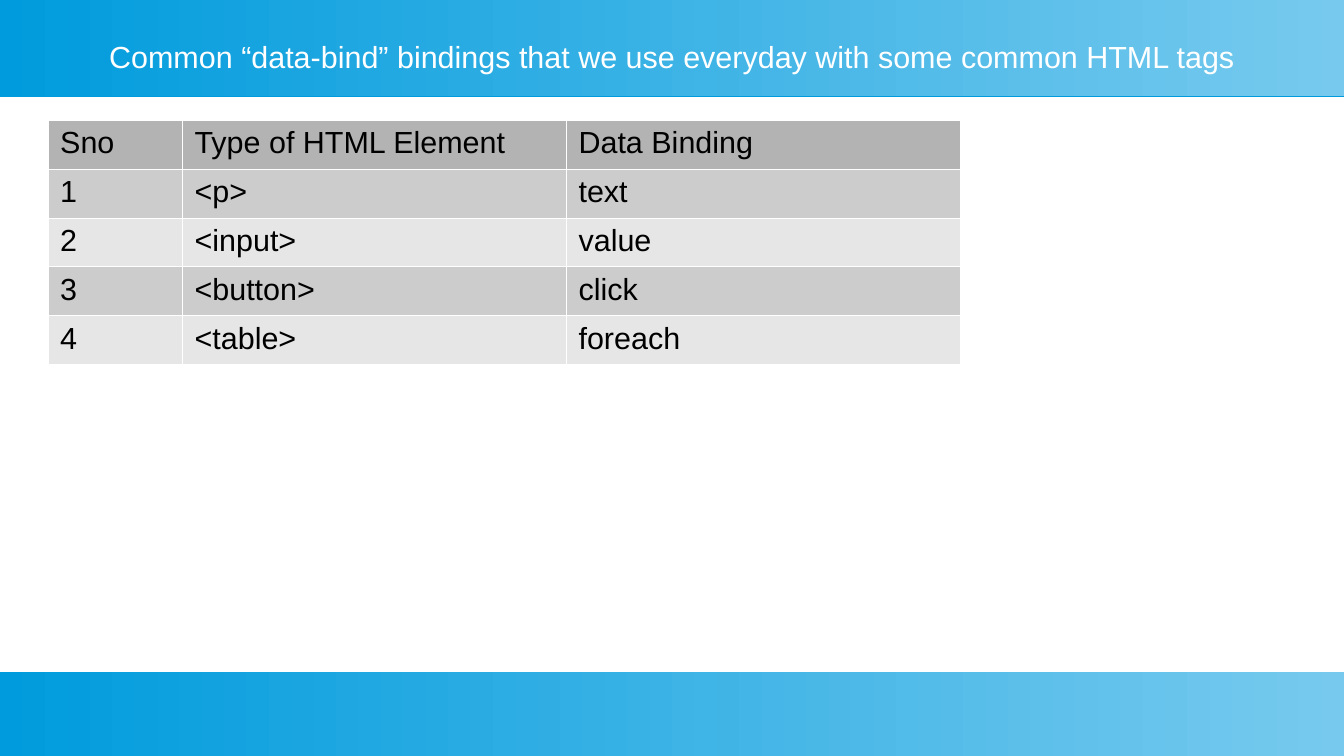
from lxml.etree import SubElement
from pptx import Presentation
from pptx.dml.color import RGBColor as RGB
from pptx.enum.shapes import MSO_SHAPE as SHAPE
from pptx.enum.text import MSO_ANCHOR as ANCHOR, PP_ALIGN as ALIGN
from pptx.oxml.ns import qn
from pptx.util import Inches, Pt

DEEP_BLUE = RGB(0x00, 0x9B, 0xDD)
PALE_BLUE = RGB(0x77, 0xCA, 0xEE)
WHITE = RGB(0xFF, 0xFF, 0xFF)
BLACK = RGB(0x00, 0x00, 0x00)
HEADER_GREY = RGB(0xB3, 0xB3, 0xB3)
BAND_GREYS = RGB(0xCC, 0xCC, 0xCC), RGB(0xE6, 0xE6, 0xE6)

COLUMNS, ROWS = 112, 63
MARGIN = 4
TABLE_COLUMNS = 11.2, 32, 32.8
TABLE_ROW = 3.88
BINDINGS = [
    ("Sno", "Type of HTML Element", "Data Binding"),
    ("1", "<p>", "text"),
    ("2", "<input>", "value"),
    ("3", "<button>", "click"),
    ("4", "<table>", "foreach"),
]


class SlideBuilder:
    """Draws styled elements on one slide, placed in grid columns and rows."""

    def __init__(self, prs, font="Arial", size=18):
        self.slide = prs.slides.add_slide(prs.slide_layouts[6])
        self.column = prs.slide_width / COLUMNS
        self.row = prs.slide_height / ROWS
        self.font, self.size = font, Pt(size)

    def box(self, x, y, w, h):
        return (round(x * self.column), round(y * self.row),
                round(w * self.column), round(h * self.row))

    def style(self, p, color):
        for r in p.runs:
            r.font.name, r.font.size = self.font, self.size
            r.font.color.rgb = color

    def band(self, y, h):
        sp = self.slide.shapes.add_shape(SHAPE.RECTANGLE, *self.box(0, y, COLUMNS, h))
        sp.line.fill.background()
        sp.fill.gradient()
        sp.fill.gradient_angle = 0
        for stop, color in zip(sp.fill.gradient_stops, (DEEP_BLUE, PALE_BLUE)):
            stop.color.rgb = color
        sp.shadow.inherit = False
        effects = sp._element.spPr.find(qn("a:effectLst"))
        shadow = SubElement(effects, qn("a:outerShdw"), blurRad="0",
                            dist=str(Pt(0.9)), dir="5400000", rotWithShape="0")
        SubElement(shadow, qn("a:srgbClr"), val=str(DEEP_BLUE))

    def title(self, text, x, y, w, h):
        tf = self.slide.shapes.add_textbox(*self.box(x, y, w, h)).text_frame
        tf.margin_left = tf.margin_right = tf.margin_top = tf.margin_bottom = 0
        tf.word_wrap = True
        tf.vertical_anchor = ANCHOR.MIDDLE
        tf.text = text
        p = tf.paragraphs[0]
        p.alignment = ALIGN.CENTER
        self.style(p, WHITE)

    def border(self, cell):
        tcPr = cell._tc.get_or_add_tcPr()
        for i, side in enumerate(("a:lnL", "a:lnR", "a:lnT", "a:lnB")):
            ln = tcPr.makeelement(qn(side), {"w": str(Pt(0.06))})
            fill = SubElement(ln, qn("a:solidFill"))
            SubElement(fill, qn("a:srgbClr"), val=str(WHITE))
            tcPr.insert(i, ln)

    def table(self, data, widths, row_height, x, y):
        frame = self.slide.shapes.add_table(
            len(data), len(widths),
            *self.box(x, y, sum(widths), row_height * len(data)))
        table = frame.table
        table.first_row = table.horz_banding = False
        for column, width in zip(table.columns, widths):
            column.width = round(width * self.column)
        for i, values in enumerate(data):
            for j, value in enumerate(values):
                cell = table.cell(i, j)
                cell.text = value
                cell.fill.solid()
                cell.fill.fore_color.rgb = BAND_GREYS[(i - 1) % 2] if i else HEADER_GREY
                self.style(cell.text_frame.paragraphs[0], BLACK)
                self.border(cell)


def main():
    prs = Presentation()
    prs.slide_width, prs.slide_height = Inches(11.02), Inches(6.2)
    s = SlideBuilder(prs)
    s.band(0, 8)
    s.band(56, 7)
    s.title("Common “data-bind” bindings that we use everyday with some common HTML tags",
            MARGIN, 2, COLUMNS - 2 * MARGIN, 5.3)
    s.table(BINDINGS, TABLE_COLUMNS, TABLE_ROW, MARGIN, 10)
    prs.save("out.pptx")


if __name__ == "__main__":
    main()
